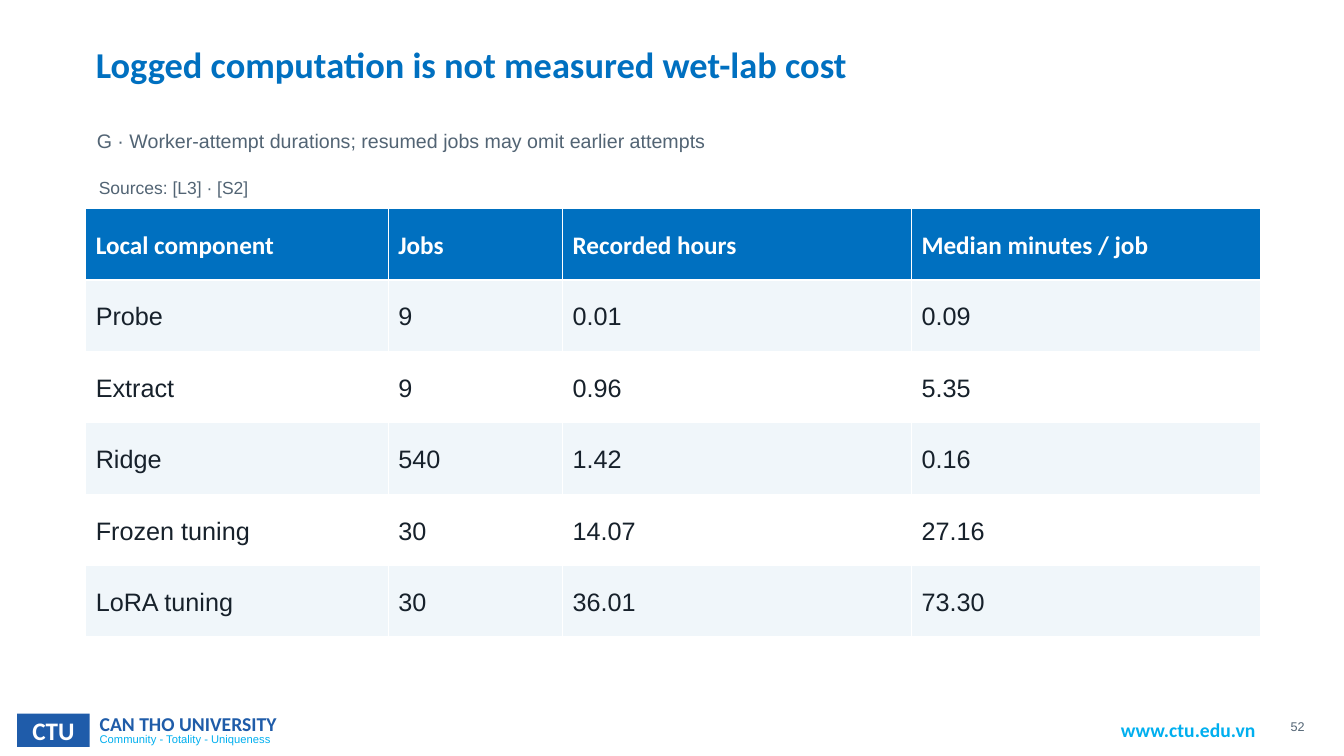
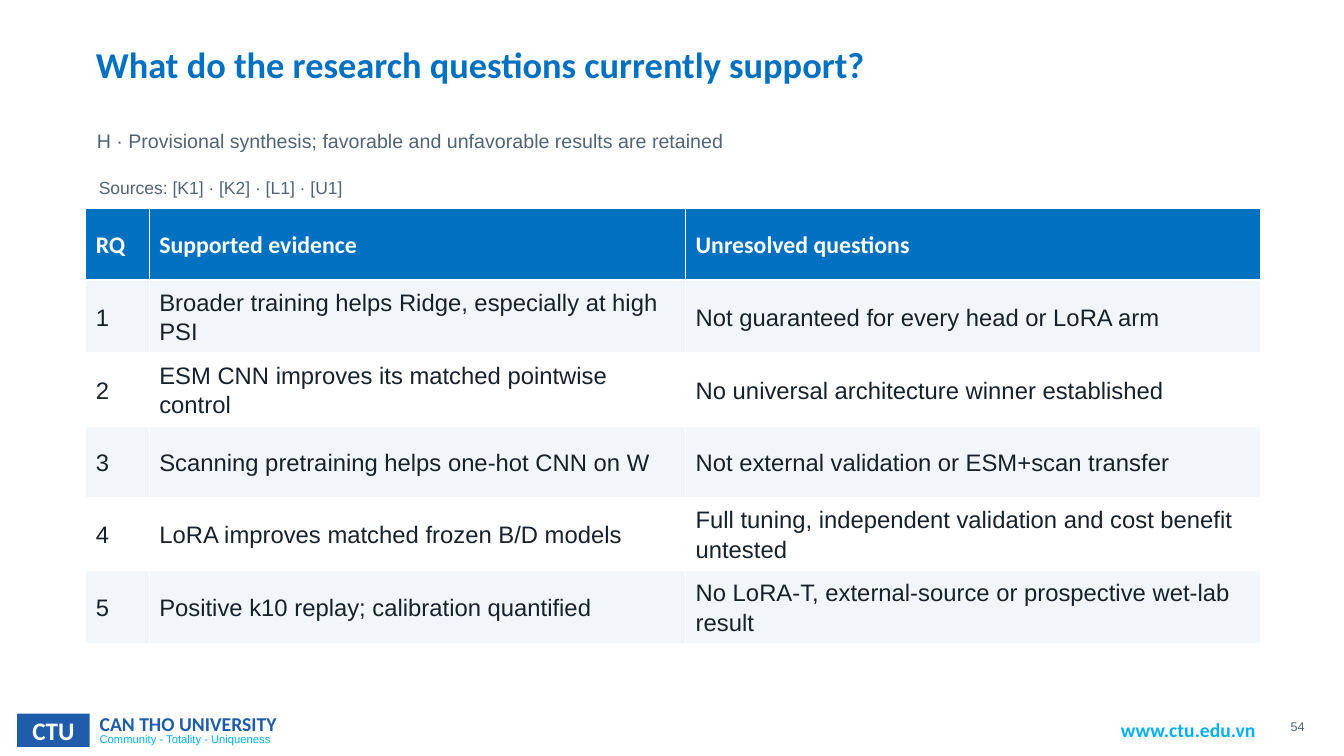
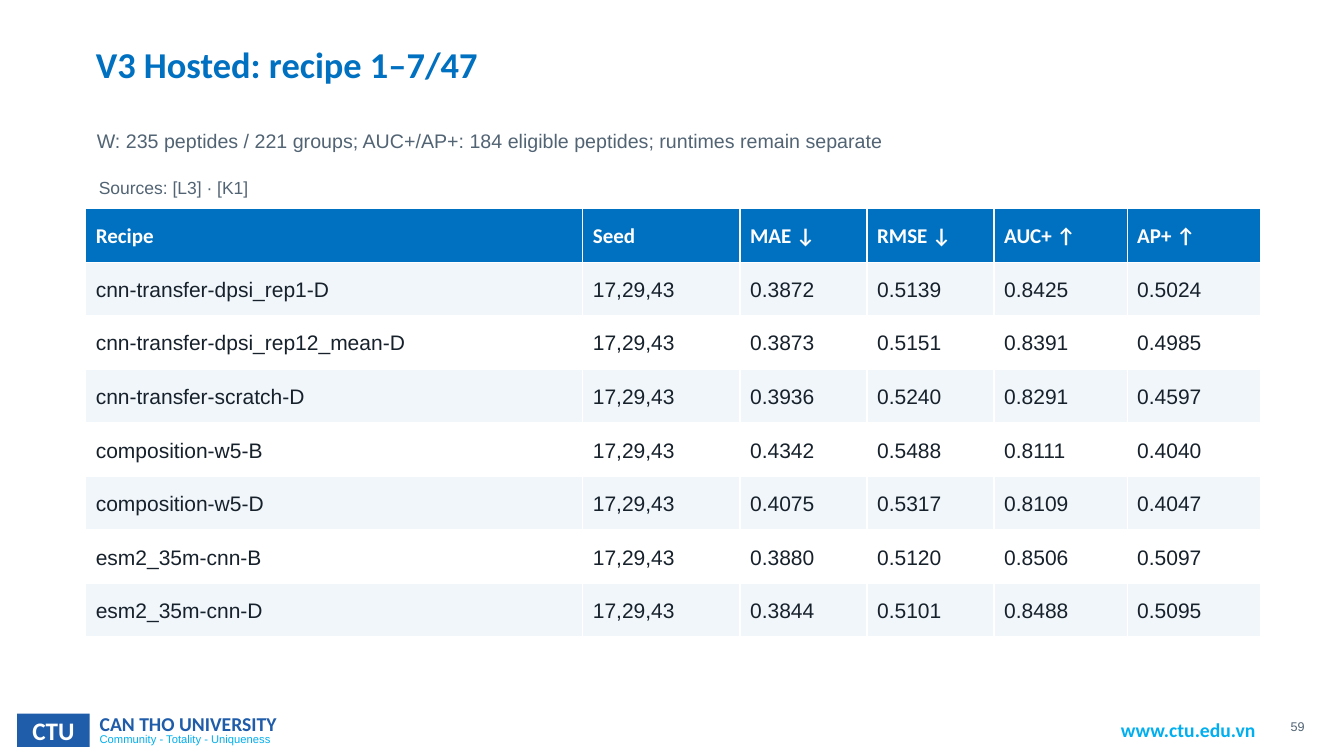
"""Build three table slides on computation cost, research questions and recipe scores."""
from dataclasses import dataclass

from pptx import Presentation
from pptx.dml.color import RGBColor
from pptx.enum.shapes import MSO_SHAPE
from pptx.enum.text import MSO_ANCHOR, MSO_AUTO_SIZE, PP_ALIGN
from pptx.slide import Slide
from pptx.text.text import TextFrame
from pptx.util import Pt

PX = 9144
RECTANGLE = MSO_SHAPE.RECTANGLE
MIDDLE = MSO_ANCHOR.MIDDLE
GROW = MSO_AUTO_SIZE.SHAPE_TO_FIT_TEXT
LEFT, CENTER, RIGHT = PP_ALIGN.LEFT, PP_ALIGN.CENTER, PP_ALIGN.RIGHT

WHITE = RGBColor(0xFF, 0xFF, 0xFF)
BLUE = RGBColor(0x00, 0x70, 0xC0)
CYAN = RGBColor(0x00, 0xAF, 0xEF)
BADGE_BLUE = RGBColor(0x1F, 0x5C, 0xAA)
NAME_BLUE = RGBColor(0x1F, 0x5C, 0xA9)
SLATE = RGBColor(0x52, 0x64, 0x74)
INK = RGBColor(0x17, 0x21, 0x2B)
PALE = RGBColor(0xF0, 0xF6, 0xFA)

HEADING_FONT = "Calibri"
BODY_FONT = "Arial"
TABLE_LEFT, TABLE_TOP, TABLE_HEIGHT = 85, 207, 425


@dataclass(frozen=True)
class Label:
    left: int
    top: int
    width: int
    height: int
    size: float
    color: RGBColor
    font: str = BODY_FONT
    bold: bool = False
    align: PP_ALIGN = LEFT
    inset: int = 1
    spacing: float = 1.13
    after: int = 3


@dataclass(frozen=True)
class TableSlide:
    page: int
    title: str
    subtitle: str
    sources: str
    text_size: int
    columns: tuple[int, ...]
    header: tuple[str, ...]
    rows: tuple[tuple[str, ...], ...]


TITLE = Label(94, 35, 1165, 82, 26, BLUE, HEADING_FONT, True)
SUBTITLE = Label(95, 124, 1155, 48, 14, SLATE)
SOURCES = Label(97, 172, 1147, 27, 12.5, SLATE)
PAGE = Label(1265, 710, 30, 20, 9, SLATE, align=RIGHT)
WEBSITE = Label(1102, 707, 164, 34, 14, CYAN, HEADING_FONT, True,
                inset=0, spacing=1, after=0)
MOTTO = Label(89, 722, 210, 24, 8, CYAN, inset=0, spacing=1, after=0)
UNIVERSITY = Label(89, 701, 302, 34, 14, NAME_BLUE, HEADING_FONT, True,
                   inset=0, spacing=1, after=0)

SEEDS = "17,29,43"
SLIDES = (
    TableSlide(
        52, "Logged computation is not measured wet-lab cost",
        "G · Worker-attempt durations; resumed jobs may omit earlier attempts",
        "Sources: [L3] · [S2]", 18, (300, 173, 346, 346),
        ("Local component", "Jobs", "Recorded hours", "Median minutes / job"),
        (
            ("Probe", "9", "0.01", "0.09"),
            ("Extract", "9", "0.96", "5.35"),
            ("Ridge", "540", "1.42", "0.16"),
            ("Frozen tuning", "30", "14.07", "27.16"),
            ("LoRA tuning", "30", "36.01", "73.30"),
        ),
    ),
    TableSlide(
        54, "What do the research questions currently support?",
        "H · Provisional synthesis; favorable and unfavorable results are retained",
        "Sources: [K1] · [K2] · [L1] · [U1]", 17, (63, 532, 570),
        ("RQ", "Supported evidence", "Unresolved questions"),
        (
            ("1", "Broader training helps Ridge, especially at high PSI",
             "Not guaranteed for every head or LoRA arm"),
            ("2", "ESM CNN improves its matched pointwise control",
             "No universal architecture winner established"),
            ("3", "Scanning pretraining helps one-hot CNN on W",
             "Not external validation or ESM+scan transfer"),
            ("4", "LoRA improves matched frozen B/D models",
             "Full tuning, independent validation and cost benefit untested"),
            ("5", "Positive k10 replay; calibration quantified",
             "No LoRA-T, external-source or prospective wet-lab result"),
        ),
    ),
    TableSlide(
        59, "V3 Hosted: recipe 1–7/47",
        "W: 235 peptides / 221 groups; AUC+/AP+: 184 eligible peptides; "
        "runtimes remain separate",
        "Sources: [L3] · [K1]", 15, (493, 156, 126, 126, 132, 132),
        ("Recipe", "Seed", "MAE ↓", "RMSE ↓", "AUC+ ↑", "AP+ ↑"),
        (
            ("cnn-transfer-dpsi_rep1-D", SEEDS, "0.3872", "0.5139", "0.8425", "0.5024"),
            ("cnn-transfer-dpsi_rep12_mean-D", SEEDS, "0.3873", "0.5151", "0.8391", "0.4985"),
            ("cnn-transfer-scratch-D", SEEDS, "0.3936", "0.5240", "0.8291", "0.4597"),
            ("composition-w5-B", SEEDS, "0.4342", "0.5488", "0.8111", "0.4040"),
            ("composition-w5-D", SEEDS, "0.4075", "0.5317", "0.8109", "0.4047"),
            ("esm2_35m-cnn-B", SEEDS, "0.3880", "0.5120", "0.8506", "0.5097"),
            ("esm2_35m-cnn-D", SEEDS, "0.3844", "0.5101", "0.8488", "0.5095"),
        ),
    ),
)


def write(frame: TextFrame, text: str, *, size: float, color: RGBColor,
          font: str = BODY_FONT, bold: bool = False, align: PP_ALIGN = LEFT,
          spacing: float = 1, after: int = 0) -> None:
    paragraph = frame.paragraphs[0]
    paragraph.alignment = align
    paragraph.line_spacing = spacing
    paragraph.space_after = Pt(after)
    run = paragraph.add_run()
    run.text = text
    run.font.size = Pt(size)
    run.font.name = font
    run.font.bold = bold
    run.font.color.rgb = color


def add_label(slide: Slide, label: Label, text: str) -> None:
    frame = slide.shapes.add_textbox(
        label.left * PX, label.top * PX, label.width * PX, label.height * PX
    ).text_frame
    frame.word_wrap = True
    frame.auto_size = GROW
    if label.inset:
        frame.margin_left = frame.margin_right = label.inset * PX
        frame.margin_top = frame.margin_bottom = label.inset * PX
    write(frame, text, size=label.size, color=label.color, font=label.font,
          bold=label.bold, align=label.align, spacing=label.spacing,
          after=label.after)


def add_footer(slide: Slide, page: int) -> None:
    badge = slide.shapes.add_shape(RECTANGLE, 17 * PX, 708 * PX, 72 * PX, 33 * PX)
    badge.shadow.inherit = False
    badge.fill.solid()
    badge.fill.fore_color.rgb = BADGE_BLUE
    badge.line.fill.background()
    badge.text_frame.vertical_anchor = MIDDLE
    write(badge.text_frame, "CTU", size=18, color=WHITE, font=HEADING_FONT,
          bold=True, align=CENTER)
    add_label(slide, MOTTO, "Community - Totality - Uniqueness")
    add_label(slide, UNIVERSITY, "CAN THO UNIVERSITY")
    add_label(slide, WEBSITE, "www.ctu.edu.vn")
    add_label(slide, PAGE, str(page))


def add_results(slide: Slide, content: TableSlide) -> None:
    lines = (content.header, *content.rows)
    table = slide.shapes.add_table(
        len(lines), len(content.columns), TABLE_LEFT * PX, TABLE_TOP * PX,
        sum(content.columns) * PX, TABLE_HEIGHT * PX
    ).table
    for column, width in zip(table.columns, content.columns):
        column.width = width * PX
    for index, line in enumerate(lines):
        is_header = index == 0
        background = BLUE if is_header else PALE if index % 2 else WHITE
        for cell, text in zip(table.rows[index].cells, line):
            cell.fill.solid()
            cell.fill.fore_color.rgb = background
            cell.vertical_anchor = MIDDLE
            write(cell.text_frame, text, size=content.text_size,
                  color=WHITE if is_header else INK,
                  font=HEADING_FONT if is_header else BODY_FONT,
                  bold=is_header, spacing=1.1)


def main() -> None:
    deck = Presentation()
    deck.slide_width, deck.slide_height = 1333 * PX, 750 * PX
    blank = deck.slide_layouts[6]
    for content in SLIDES:
        slide = deck.slides.add_slide(blank)
        add_footer(slide, content.page)
        add_label(slide, TITLE, content.title)
        add_label(slide, SUBTITLE, content.subtitle)
        add_label(slide, SOURCES, content.sources)
        add_results(slide, content)
    deck.save("out.pptx")


if __name__ == "__main__":
    main()
